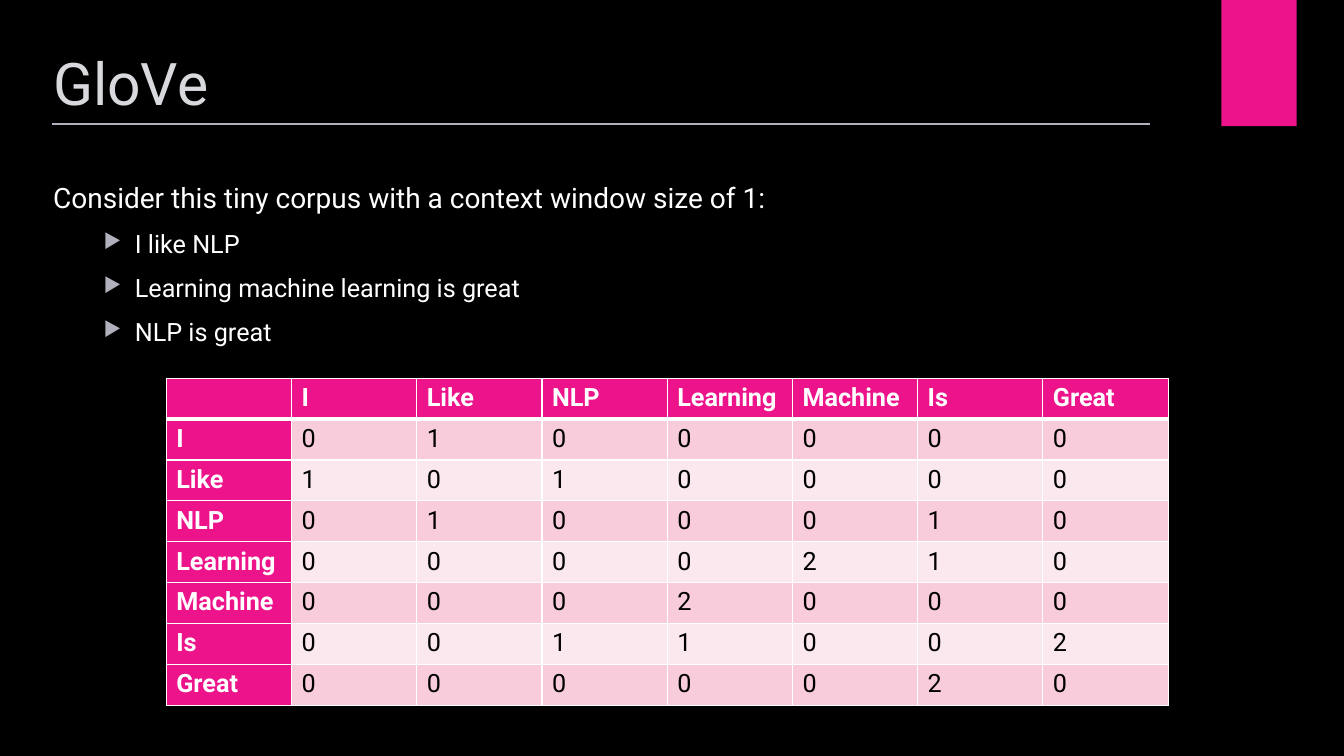
from lxml.etree import SubElement as Sub
from pptx import Presentation
from pptx.dml.color import RGBColor
from pptx.enum.shapes import MSO_CONNECTOR as Link, MSO_SHAPE as Form
from pptx.enum.text import MSO_ANCHOR as Anchor
from pptx.oxml.ns import qn
from pptx.util import Cm, Pt

PINK, WHITE, BLACK, GREY = "EC138B", "FFFFFF", "000000", "B1B1BD"
BANDS = "F8CCDA", "FBE7EE"
WORDS = ["I", "Like", "NLP", "Learning", "Machine", "Is", "Great"]
COUNTS = [
    [0, 1, 0, 0, 0, 0, 0],
    [1, 0, 1, 0, 0, 0, 0],
    [0, 1, 0, 0, 0, 1, 0],
    [0, 0, 0, 0, 2, 1, 0],
    [0, 0, 0, 2, 0, 0, 0],
    [0, 0, 1, 1, 0, 0, 2],
    [0, 0, 0, 0, 0, 2, 0],
]
CORPUS = ["I like NLP", "Learning machine learning is great", "NLP is great"]


def paint(fill, color):
    fill.solid()
    fill.fore_color.rgb = RGBColor.from_string(color)


def write(para, text, size=18, color=WHITE, bold=False, before=0):
    para.space_before = Pt(before)
    run = para.add_run()
    run.text = text
    font = run.font
    font.name, font.size, font.bold = "Roboto", Pt(size), bold
    font.color.rgb = RGBColor.from_string(color)


def mark(para):
    """Give the paragraph a hanging triangle bullet."""
    props = para._p.get_or_add_pPr()
    props.set("lvl", "1")
    props.set("marL", str(Cm(2.06)))
    props.set("indent", str(Cm(-0.79)))
    Sub(Sub(props, qn("a:buClr")), qn("a:srgbClr"), val=GREY)
    Sub(props, qn("a:buSzPct"), val="80000")
    Sub(props, qn("a:buChar"), char="▶")


def add_box(slide, top, height, inset=0.13):
    box = slide.shapes.add_textbox(Cm(1.09), Cm(top), Cm(26.85), Cm(height))
    frame = box.text_frame
    frame.word_wrap = True
    frame.vertical_anchor = Anchor.TOP
    frame.margin_top = Cm(inset)
    return frame


def add_rule(slide):
    rule = slide.shapes.add_connector(
        Link.STRAIGHT, Cm(1.32), Cm(3.12), Cm(28.98), Cm(3.12))
    rule.line.width = Pt(1.5)
    paint(rule.line.fill, GREY)
    Sub(rule._element.spPr, qn("a:effectLst"))


def add_tab(slide):
    tab = slide.shapes.add_shape(
        Form.RECTANGLE, Cm(30.78), Cm(0), Cm(1.9), Cm(3.18))
    tab.shadow.inherit = False
    paint(tab.fill, PINK)
    tab.line.fill.background()


def edge(cell, row):
    """Draw white borders, with a thick one under the header row."""
    props = cell._tc.get_or_add_tcPr()
    thick = {0: "lnB", 1: "lnT"}.get(row)
    for side in ("lnL", "lnR", "lnT", "lnB"):
        width = Pt(3 if side == thick else 1)
        line = Sub(props, qn("a:" + side), w=str(width))
        Sub(Sub(line, qn("a:solidFill")), qn("a:srgbClr"), val=WHITE)


def add_grid(slide):
    rows = [[""] + WORDS]
    rows += [[word] + nums for word, nums in zip(WORDS, COUNTS)]
    size = len(rows)
    grid = slide.shapes.add_table(
        size, size, Cm(4.19), Cm(9.53), Cm(25.25), Cm(8.24)).table
    for r, row in enumerate(rows):
        for c, value in enumerate(row):
            cell = grid.cell(r, c)
            head = r == 0 or c == 0
            edge(cell, r)
            paint(cell.fill, PINK if head else BANDS[(r - 1) % 2])
            if value != "":
                write(cell.text_frame.paragraphs[0], str(value),
                      color=WHITE if head else BLACK, bold=head)


def main():
    deck = Presentation()
    deck.slide_width, deck.slide_height = Cm(33.87), Cm(19.05)
    slide = deck.slides.add_slide(deck.slide_layouts[6])
    paint(slide.background.fill, BLACK)
    add_tab(slide)
    add_rule(slide)
    title = add_box(slide, 0.94, 2.74, inset=0.23)
    write(title.paragraphs[0], "GloVe", size=42, color="D8D9DC")
    body = add_box(slide, 4.42, 11.66)
    write(body.paragraphs[0],
          "Consider this tiny corpus with a context window size of 1:", size=20)
    for text in CORPUS:
        para = body.add_paragraph()
        mark(para)
        write(para, text, before=10)
    add_grid(slide)
    deck.save("out.pptx")


if __name__ == "__main__":
    main()
